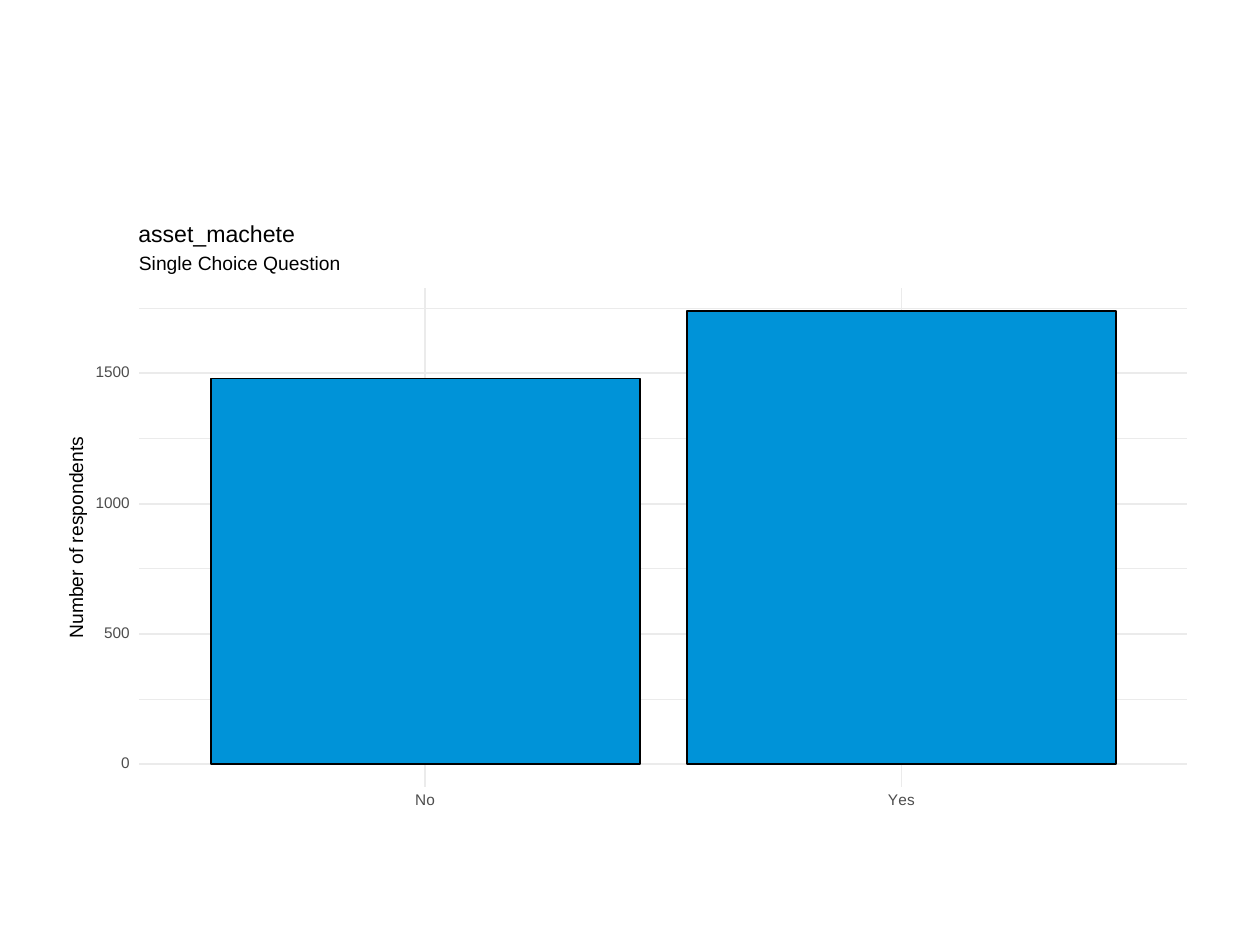
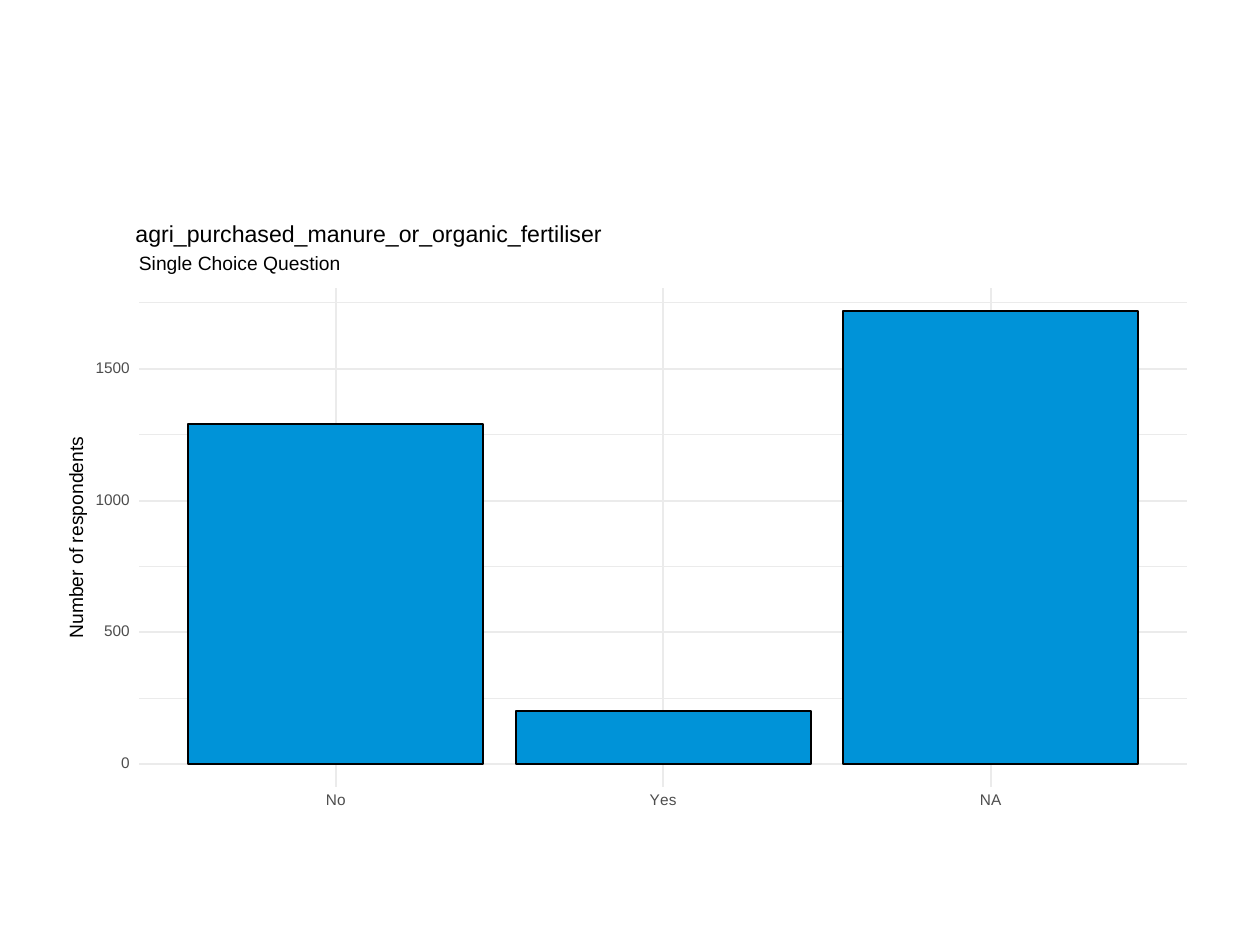
from lxml import etree
from pptx import Presentation
from pptx.chart.data import CategoryChartData
from pptx.dml.color import RGBColor
from pptx.enum.chart import XL_CHART_TYPE, XL_TICK_LABEL_POSITION, XL_TICK_MARK
from pptx.enum.shapes import MSO_CONNECTOR
from pptx.enum.text import MSO_ANCHOR, MSO_AUTO_SIZE, PP_ALIGN
from pptx.oxml import parse_xml
from pptx.oxml.ns import nsdecls, qn
from pptx.util import Pt

# Title, left edge of the title, answers
QUESTIONS = [
    ("asset_machete", 79, {"No": 1480, "Yes": 1740}),
    ("agri_purchased_manure_or_organic_fertiliser", 77.4,
     {"No": 1290, "Yes": 200, "NA": 1720}),
]
SUBTITLE = "Single Choice Question"
AXIS_TITLE = "Number of respondents"

FONT = "Arial"
BLACK, GREY, GRID, BLUE = "000000", "4D4D4D", "EBEBEB", "0093D8"
TITLE_SIZE, LABEL_SIZE, TICK_SIZE = 13.2, 11, 8.8
THIN, THICK = 0.53, 1.07

# Chart frame and grid panel, in points
FRAME_X, FRAME_Y, FRAME_W, FRAME_H = 36, 126, 648, 356.4
PANEL_X, PANEL_Y, PANEL_W, PANEL_H = 79.7, 164.6, 598.8, 285.1
LABEL_LIFT = 4.6        # the plot ends this far above the panel's bottom
MINOR_STEP, MAJOR_STEP = 250, 500
VALUE_MARGIN = 0.05     # share of the largest value, below and above
CATEGORY_MARGIN = 0.1   # share of one category, left and right
BAR_SHARE = 0.9

LEFT, CENTER, RIGHT = PP_ALIGN.LEFT, PP_ALIGN.CENTER, PP_ALIGN.RIGHT


def rgb(color):
    return RGBColor.from_string(color)


def style_font(font, size, color):
    font.name = FONT
    font.size = Pt(size)
    font.bold = False
    font.color.rgb = rgb(color)


def set_text(sp, text, x, y, w, size, color=BLACK, align=LEFT):
    """Place one line of text whose middle is at height y."""
    sp.left, sp.top, sp.width, sp.height = Pt(x), Pt(y - size / 2), Pt(w), Pt(size)
    tf = sp.text_frame
    tf.auto_size = MSO_AUTO_SIZE.NONE
    tf.word_wrap = True
    tf.vertical_anchor = MSO_ANCHOR.MIDDLE
    tf.margin_left = tf.margin_right = tf.margin_top = tf.margin_bottom = 0
    p = tf.paragraphs[0]
    p.text = text
    p.alignment = align
    p.line_spacing = Pt(size)
    style_font(p.font, size, color)


def add_label(s, *args, **kwargs):
    sp = s.shapes.add_textbox(0, 0, 0, 0)
    set_text(sp, *args, **kwargs)
    return sp


def add_grid_line(s, x1, y1, x2, y2, width):
    line = s.shapes.add_connector(MSO_CONNECTOR.STRAIGHT, Pt(x1), Pt(y1), Pt(x2), Pt(y2))
    line.line.color.rgb = rgb(GRID)
    line.line.width = Pt(width)
    etree.SubElement(line._element.spPr, qn("a:effectLst"))


def value_span(top_value):
    return top_value * (1 + 2 * VALUE_MARGIN)


def category_width(count):
    return PANEL_W / (count + 2 * CATEGORY_MARGIN)


def add_grid(s, count, top_value):
    """Draw the grid lines and the labels of the value scale."""
    right, bottom = PANEL_X + PANEL_W, PANEL_Y + PANEL_H
    for value in range(0, int(top_value * (1 + VALUE_MARGIN)) + 1, MINOR_STEP):
        share = (value + top_value * VALUE_MARGIN) / value_span(top_value)
        y = bottom - share * PANEL_H
        major = value % MAJOR_STEP == 0
        add_grid_line(s, PANEL_X, y, right, y, THICK if major else THIN)
        if major:
            add_label(s, str(value), 44.2, y, 30, TICK_SIZE, GREY, RIGHT)
    for i in range(count):
        x = PANEL_X + (i + 0.5 + CATEGORY_MARGIN) * category_width(count)
        add_grid_line(s, x, PANEL_Y, x, bottom, THICK)


def place_plot(chart, inset):
    """Fit the plot to the panel, inset at both sides, with no background."""
    space = chart._chartSpace
    plot_area = space.find(".//" + qn("c:plotArea"))
    for old in plot_area.findall(qn("c:layout")):
        plot_area.remove(old)
    box = {
        "x": (PANEL_X + inset - FRAME_X) / FRAME_W,
        "y": (PANEL_Y - FRAME_Y) / FRAME_H,
        "w": (PANEL_W - 2 * inset) / FRAME_W,
        "h": (PANEL_H - LABEL_LIFT) / FRAME_H,
    }
    modes = '<c:layoutTarget val="inner"/><c:xMode val="edge"/><c:yMode val="edge"/>'
    sizes = "".join(f'<c:{k} val="{v:.4f}"/>' for k, v in box.items())
    plot_area.insert(0, parse_xml(
        f'<c:layout {nsdecls("c")}><c:manualLayout>{modes}{sizes}'
        '</c:manualLayout></c:layout>'))
    clear = (f'<c:spPr {nsdecls("c", "a")}><a:noFill/>'
             '<a:ln><a:noFill/></a:ln></c:spPr>')
    plot_area.append(parse_xml(clear))
    space.find(qn("c:chart")).addnext(parse_xml(clear))


def add_bars(s, counts):
    data = CategoryChartData()
    data.categories = list(counts)
    data.add_series(AXIS_TITLE, list(counts.values()))
    chart = s.shapes.add_chart(
        XL_CHART_TYPE.COLUMN_CLUSTERED, Pt(FRAME_X), Pt(FRAME_Y),
        Pt(FRAME_W), Pt(FRAME_H), data).chart
    chart.has_title = chart.has_legend = False
    style_font(chart.font, TICK_SIZE, GREY)

    top_value = max(counts.values())
    lift = LABEL_LIFT / PANEL_H * value_span(top_value)
    values = chart.value_axis
    values.minimum_scale = round(lift - top_value * VALUE_MARGIN, 2)
    values.maximum_scale = round(top_value * (1 + VALUE_MARGIN), 2)
    values.has_major_gridlines = False
    values.visible = False
    answers = chart.category_axis
    answers.tick_label_position = XL_TICK_LABEL_POSITION.LOW
    answers.major_tick_mark = XL_TICK_MARK.NONE
    answers.format.line.fill.background()

    plot = chart.plots[0]
    plot.vary_by_categories = False
    plot.gap_width = round((1 / BAR_SHARE - 1) * 100)
    bars = plot.series[0]
    bars.invert_if_negative = False
    bars.format.fill.solid()
    bars.format.fill.fore_color.rgb = rgb(BLUE)
    bars.format.line.color.rgb = rgb(BLACK)
    bars.format.line.width = Pt(THICK)
    place_plot(chart, CATEGORY_MARGIN * category_width(len(counts)))


def add_question(prs, title, title_x, counts):
    s = prs.slides.add_slide(prs.slide_layouts[5])
    set_text(s.shapes.title, title, title_x, 134.4, PANEL_W, TITLE_SIZE)
    add_label(s, SUBTITLE, 79.4, 151.2, PANEL_W, LABEL_SIZE)
    add_grid(s, len(counts), max(counts.values()))
    add_bars(s, counts)
    width = 130
    axis_title = add_label(s, AXIS_TITLE, 44.3 - width / 2, PANEL_Y + PANEL_H / 2,
                           width, LABEL_SIZE, align=CENTER)
    axis_title.rotation = 270


def main():
    prs = Presentation()
    prs.slide_width, prs.slide_height = Pt(720), Pt(540)
    for title, title_x, counts in QUESTIONS:
        add_question(prs, title, title_x, counts)
    prs.save("out.pptx")


if __name__ == "__main__":
    main()
